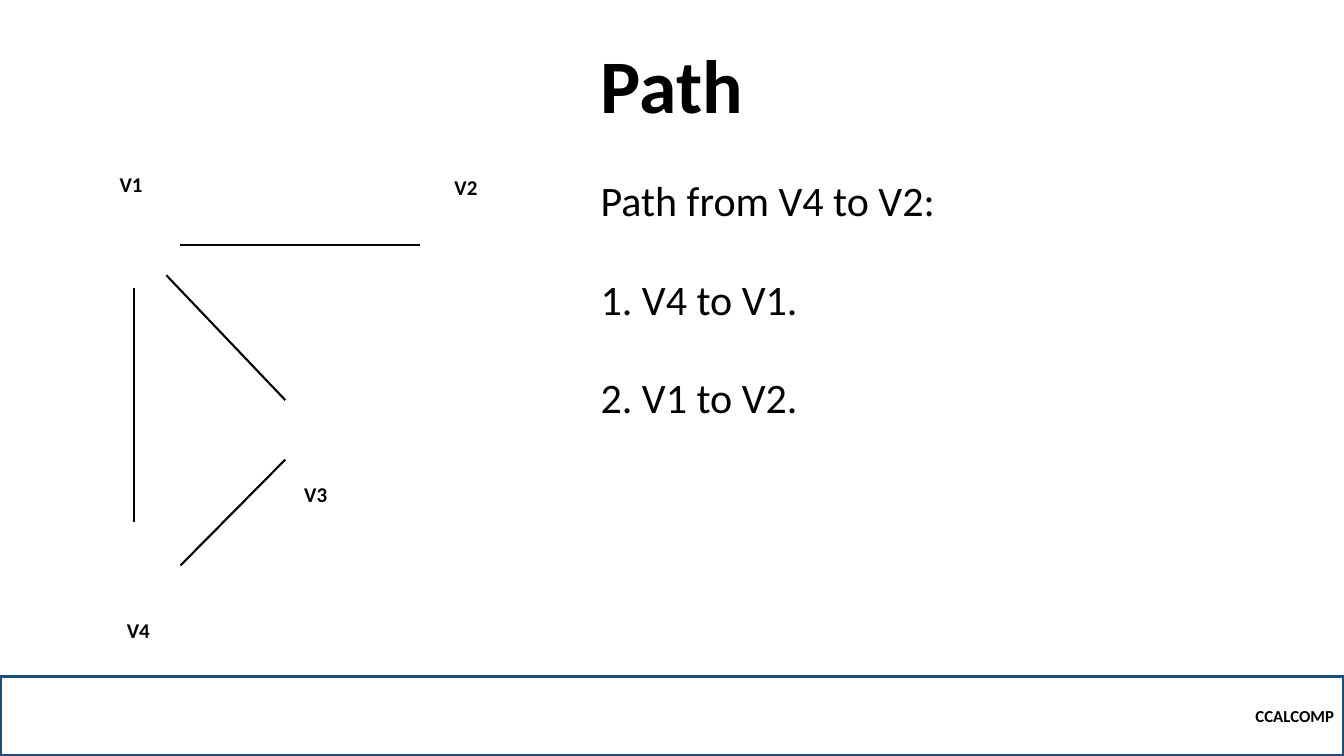
from lxml.etree import SubElement
from pptx import Presentation
from pptx.dml.color import RGBColor
from pptx.enum.shapes import MSO_CONNECTOR as Connector, MSO_SHAPE as Preset
from pptx.enum.text import MSO_ANCHOR as Anchor, PP_ALIGN as Align
from pptx.oxml.ns import qn
from pptx.util import Pt

FONT = "Calibri"
BLACK = "000000"
NAVY = "1F4E79"

# Vertex labels: text, left, top, width
VERTICES = [
    ("V1", 78.3, 118.8, 42.5),
    ("V2", 317.5, 121, 49),
    ("V3", 210.2, 340.6, 34),
    ("V4", 83.5, 437.8, 44.6),
]

# Edges of the graph: start x, start y, end x, end y
EDGES = [
    (128.9, 174.8, 300.2, 174.8),
    (118.8, 196.6, 203.8, 285.8),
    (95.8, 205.9, 95.8, 373),
    (128.9, 403.9, 203.8, 328.3),
]

STEPS = ["Path from V4 to V2:", "1. V4 to V1.", "2. V1 to V2."]
STEP_TOP, STEP_PITCH = 121, 70.5


def color(hex_text):
    return RGBColor.from_string(hex_text)


def write(shape, text, size, bold=False, align=Align.LEFT, anchor=Anchor.TOP):
    frame = shape.text_frame
    frame.word_wrap = True
    frame.vertical_anchor = anchor
    para = frame.paragraphs[0]
    para.alignment = align
    span = para.add_run()
    span.text = text
    span.font.name = FONT
    span.font.size = Pt(size)
    span.font.bold = bold
    span.font.color.rgb = color(BLACK)
    return para


def add_text(page, text, left, top, width, height, size, **style):
    box = page.shapes.add_textbox(Pt(left), Pt(top), Pt(width), Pt(height))
    return write(box, text, size, **style)


def add_edge(page, x1, y1, x2, y2):
    edge = page.shapes.add_connector(
        Connector.STRAIGHT, Pt(x1), Pt(y1), Pt(x2), Pt(y2))
    edge.line.color.rgb = color(BLACK)
    edge.line.width = Pt(1.5)
    SubElement(edge._element.spPr, qn("a:effectLst"))


def add_footer(page, text):
    bar = page.shapes.add_shape(Preset.RECTANGLE, Pt(0), Pt(483), Pt(960), Pt(57))
    bar.shadow.inherit = False
    bar.fill.background()
    bar.line.color.rgb = color(NAVY)
    bar.line.width = Pt(2.25)
    write(bar, text, 12, bold=True, align=Align.RIGHT, anchor=Anchor.MIDDLE)


def main():
    deck = Presentation()
    deck.slide_width, deck.slide_height = Pt(960), Pt(540)
    page = deck.slides.add_slide(deck.slide_layouts[6])

    # Title and footer
    title = add_text(page, "Path", 120, 39, 720, 57, 54, bold=True,
                     align=Align.CENTER, anchor=Anchor.BOTTOM)
    title.line_spacing = 0.9
    add_footer(page, "CCALCOMP")

    # Graph
    for name, left, top, width in VERTICES:
        add_text(page, name, left, top, width, 25.5, 15, bold=True)
    for ends in EDGES:
        add_edge(page, *ends)

    # Steps of the path
    for row, step in enumerate(STEPS):
        add_text(page, step, 422, STEP_TOP + row * STEP_PITCH, 484, 44, 30)

    deck.save("out.pptx")


if __name__ == "__main__":
    main()
